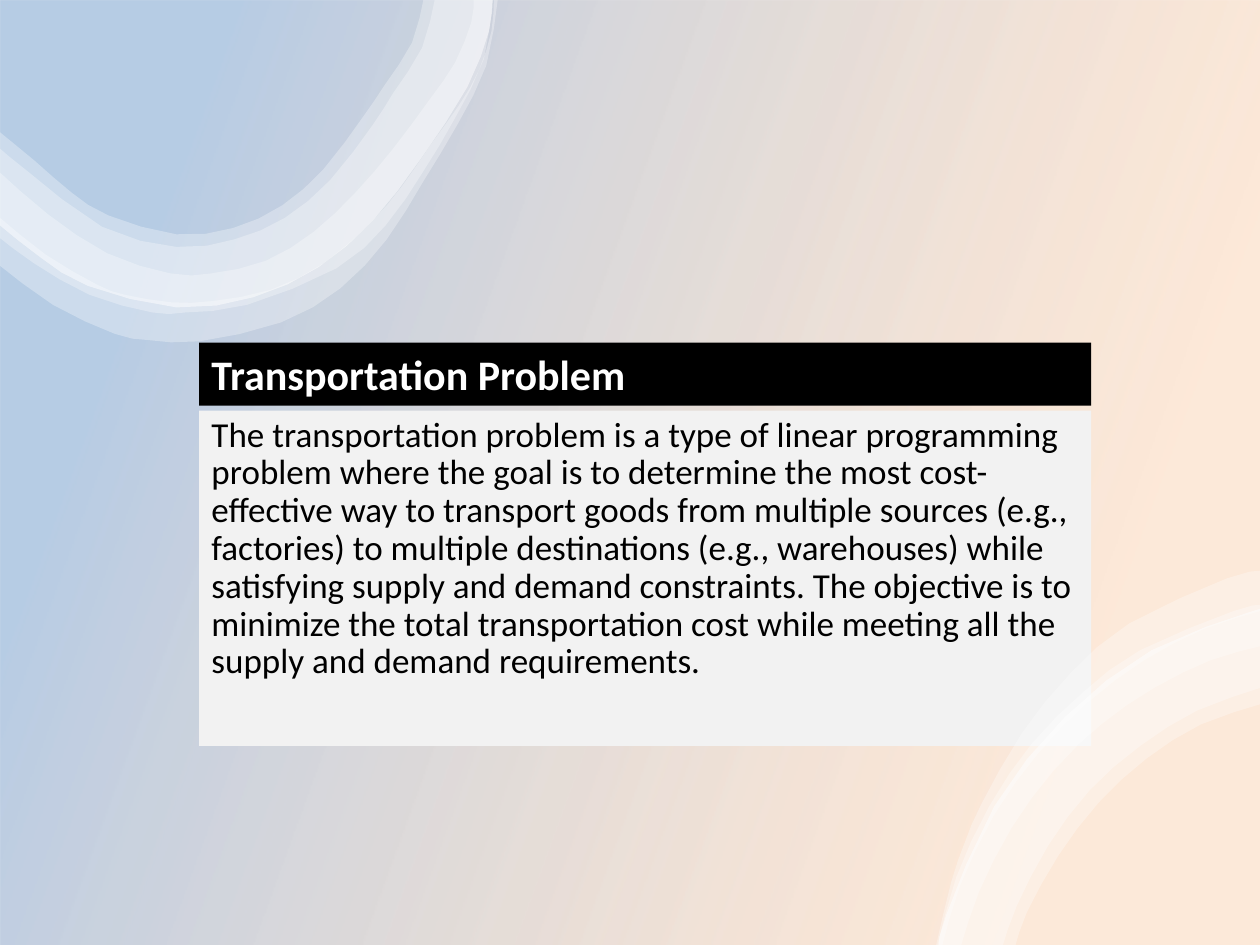
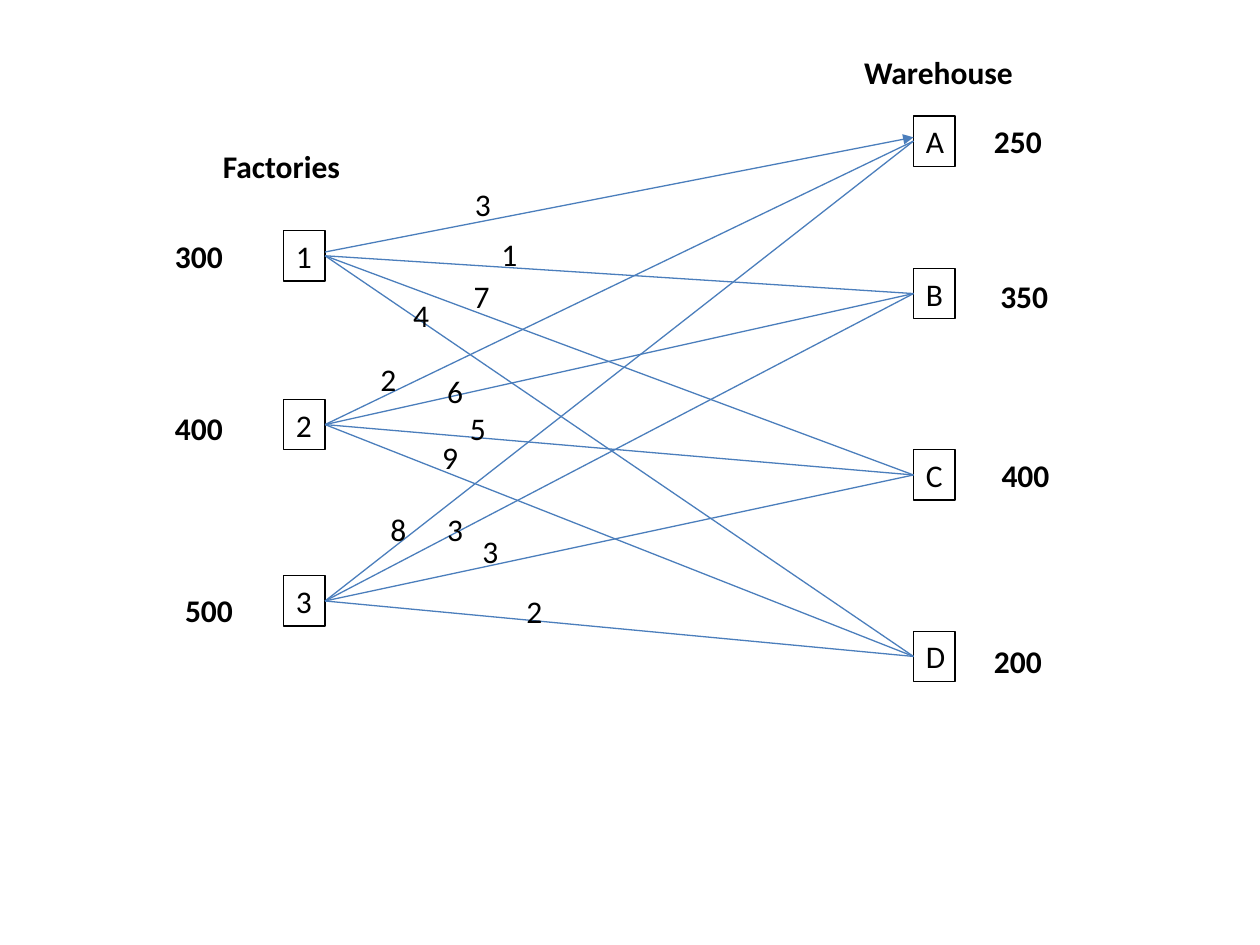
from lxml import etree
from pptx import Presentation
from pptx import util as u
from pptx.dml.color import RGBColor
from pptx.enum import shapes as es, text as et
from pptx.oxml.ns import qn

PX = 9144  # 100 px to the inch
WIDE, HIGH = 1000, 750
FONT = "Calibri"
BLACK = RGBColor(0x00, 0x00, 0x00)
WHITE = RGBColor(0xFF, 0xFF, 0xFF)
GREY = RGBColor(0xF2, 0xF2, 0xF2)
PEACH = RGBColor(0xF7, 0x96, 0x46)
BLUE = RGBColor(0x4F, 0x81, 0xBD)
ROUTE = RGBColor(0x4B, 0x7E, 0xBC)

TITLE = "Transportation Problem"
BODY = (
    "The transportation problem is a type of linear programming problem where "
    "the goal is to determine the most cost-effective way to transport goods "
    "from multiple sources (e.g., factories) to multiple destinations (e.g., "
    "warehouses) while satisfying supply and demand constraints. The objective "
    "is to minimize the total transportation cost while meeting all the supply "
    "and demand requirements."
)

# Ribbons: pairs of edges, each a list of points that a smooth curve runs through
TOP_RIM = [(0, 179), (33, 205), (70, 227), (140, 244), (201, 236), (253, 212),
           (296, 175), (334, 126), (371, 69), (388, 25), (391, 0)]
TOP = [
    ([(392, 0), (390, 25), (380, 56), (364, 84), (341, 116), (319, 148),
      (294, 177), (257, 209), (215, 230), (169, 239), (136, 240), (99, 234),
      (77, 226), (36, 202), (0, 173)],
     [(0, 211), (42, 242), (91, 265), (118, 270), (158, 271), (223, 256),
      (270, 229), (307, 190), (336, 144), (363, 99), (386, 52), (395, 0)]),
    ([(376, 0), (374, 18), (361, 50), (341, 79), (312, 118), (282, 153),
      (249, 184), (211, 207), (168, 217), (135, 217), (85, 201), (38, 170),
      (0, 137)],
     [(0, 189), (27, 209), (71, 234), (121, 248), (147, 248), (196, 242),
      (267, 213), (306, 179), (336, 136), (361, 94), (384, 47), (391, 0)]),
    ([(345, 0), (335, 38), (312, 74), (296, 99), (262, 143), (226, 173),
      (186, 190), (140, 196), (81, 180), (22, 136), (0, 118)],
     TOP_RIM),
    ([(336, 0), (327, 34), (305, 68), (288, 93), (257, 134), (224, 163),
      (185, 181), (140, 186), (86, 171), (57, 153), (28, 128), (0, 105)],
     TOP_RIM),
]
LOW_RIM = [(45, 350), (51, 326), (89, 240), (145, 169), (214, 116), (291, 86),
           (300, 84)]
LOW = [
    ([(43, 350), (55, 300), (66, 268), (79, 238), (111, 182), (150, 134),
      (196, 95), (274, 59), (300, 53)],
     [(300, 85), (256, 99), (208, 124), (164, 157), (124, 198), (89, 247),
      (62, 303), (48, 350)]),
    (LOW_RIM,
     [(300, 159), (253, 175), (210, 202), (172, 237), (140, 279), (115, 324),
      (106, 350)]),
    ([(44, 350), (59, 296), (85, 240), (119, 190), (160, 149), (205, 116),
      (279, 85), (300, 80)],
     [(300, 113), (261, 124), (216, 146), (174, 175), (136, 212), (103, 257),
      (77, 308), (63, 350)]),
    (LOW_RIM,
     [(300, 146), (250, 164), (205, 192), (165, 227), (132, 271), (107, 319),
      (96, 350)]),
]

# Network: name -> top of its box, amount, left and top of the amount
MAKERS = {"1": (183, "300", 129, 183), "2": (317, "400", 129, 320),
          "3": (457, "500", 137, 464)}
STORES = {"A": (92, "250", 779, 92), "B": (213, "350", 784, 215),
          "C": (357, "400", 785, 357), "D": (501, "200", 779, 505)}
# Route -> cost, left and top of the cost
COSTS = {
    "1A": ("3", 367, 142), "1B": ("1", 388, 182),
    "1C": ("7", 366, 215), "1D": ("4", 318, 230),
    "2A": ("2", 292, 281), "2B": ("6", 345, 290),
    "2C": ("5", 363, 320), "2D": ("9", 341, 343),
    "3A": ("8", 300, 400), "3B": ("3", 345, 400),
    "3C": ("3", 373, 417), "3D": ("2", 408, 465),
}


def fade(shape, *shares):
    """Give the fill colours of a shape their opacity, in percent."""
    for tone, share in zip(shape.element.spPr.iter(qn("a:srgbClr")), shares):
        etree.SubElement(tone, qn("a:alpha")).set("val", str(share * 1000))


def write(shape, words, size, color=BLACK, bold=False, grow=True):
    frame = shape.text_frame
    frame.word_wrap = True
    if grow:
        frame.auto_size = et.MSO_AUTO_SIZE.SHAPE_TO_FIT_TEXT
    frame.vertical_anchor = et.MSO_ANCHOR.TOP
    frame.text = words
    para = frame.paragraphs[0]
    para.alignment = et.PP_ALIGN.LEFT
    font = para.font
    font.name, font.size, font.bold = FONT, u.Pt(size), bold
    font.color.rgb = color
    return para


def rect(slide, box, fill=None):
    shape = slide.shapes.add_shape(
        es.MSO_SHAPE.RECTANGLE, *(n * PX for n in box))
    shape.shadow.inherit = False
    shape.line.fill.background()
    if fill is None:
        shape.fill.background()
    else:
        shape.fill.solid()
        shape.fill.fore_color.rgb = fill
    return shape


def label(slide, words, left, top, wide, bold=False):
    box = slide.shapes.add_textbox(*(n * PX for n in (left, top, wide, 40)))
    write(box, words, 18, bold=bold)


def curve(knots):
    """The knots, with a point of a smooth (Catmull-Rom) line between each."""
    ends = [knots[0], *knots, knots[-1]]
    points = []
    for a, b, c, d in zip(ends, ends[1:], ends[2:], ends[3:]):
        middle = tuple((9 * (b[i] + c[i]) - a[i] - d[i]) / 16 for i in (0, 1))
        points += [b, middle]
    return points + [knots[-1]]


def swirl(slide, left, top, bands):
    """Draw a group of translucent ribbons from its corner."""
    for near, far in bands:
        points = [((left + x) * PX, (top + y) * PX)
                  for x, y in curve(near) + curve(far)]
        pen = slide.shapes.build_freeform(*points[0])
        pen.add_line_segments(points[1:], close=True)
        shape = pen.convert_to_shape()
        shape.shadow.inherit = False
        shape.line.fill.background()
        shape.fill.solid()
        shape.fill.fore_color.rgb = WHITE
        fade(shape, 30)


def backdrop(slide, box):
    wash = rect(slide, box)
    wash.fill.gradient()
    wash.fill.gradient_angle = 160
    stops = wash.fill.gradient_stops
    for stop, tone, place in zip(stops, (PEACH, BLUE), (0.16, 0.85)):
        stop.color.rgb = tone
        stop.position = place
    fade(wash, 20, 40)


def summary(slide, left, top, wide):
    # Text panel, then the ribbons that cross it, then the heading bar
    panel = rect(slide, (left, top + 54, wide, 266), GREY)
    para = write(panel, BODY, 20, grow=False)
    para.line_spacing = 0.9
    para.space_after = u.Pt(6)
    swirl(slide, 700, 400, LOW)
    bar = rect(slide, (left, top, wide, 50), BLACK)
    para = write(bar, TITLE, 24, WHITE, bold=True)
    para.space_after = u.Pt(6)


def column(slide, left, sites):
    """Draw the boxes of one side with their amounts."""
    nodes = {}
    for name, (top, amount, x, y) in sites.items():
        node = rect(slide, (left, top, 33, 40))
        node.line.color.rgb = BLACK
        node.line.width = u.Pt(0.75)
        write(node, name, 18)
        label(slide, amount, x, y, 75, bold=True)
        nodes[name] = node
    return nodes


def route(slide, start, end, arrow):
    # The arrow runs just above the middle of both boxes
    rise = 3 * PX
    link = slide.shapes.add_connector(
        es.MSO_CONNECTOR.STRAIGHT,
        start.left + start.width, start.top + start.height // 2 - rise,
        end.left, end.top + end.height // 2 - rise)
    link.line.color.rgb = ROUTE
    link.line.width = u.Pt(0.75)
    props = link.element.spPr
    if arrow:
        line = props.find(qn("a:ln"))
        etree.SubElement(line, qn("a:tailEnd")).set("type", "triangle")
    else:
        link.begin_connect(start, 3)
        link.end_connect(end, 1)
    etree.SubElement(props, qn("a:effectLst"))


def network(slide):
    makers = column(slide, 225, MAKERS)
    stores = column(slide, 725, STORES)
    for pair in COSTS:
        route(slide, makers[pair[0]], stores[pair[1]], pair == "1A")
    for cost, left, top in COSTS.values():
        label(slide, cost, left, top, 42)
    label(slide, "Factories", 167, 112, 125, bold=True)
    label(slide, "Warehouse", 676, 37, 163, bold=True)


def main():
    deck = Presentation()
    deck.slide_width, deck.slide_height = WIDE * PX, HIGH * PX
    blank = deck.slide_layouts[6]

    intro = deck.slides.add_slide(blank)
    backdrop(intro, (0, 0, WIDE, HIGH))
    swirl(intro, 0, 0, TOP)
    summary(intro, 158, 272, 708)

    network(deck.slides.add_slide(blank))
    deck.save("out.pptx")


if __name__ == "__main__":
    main()
